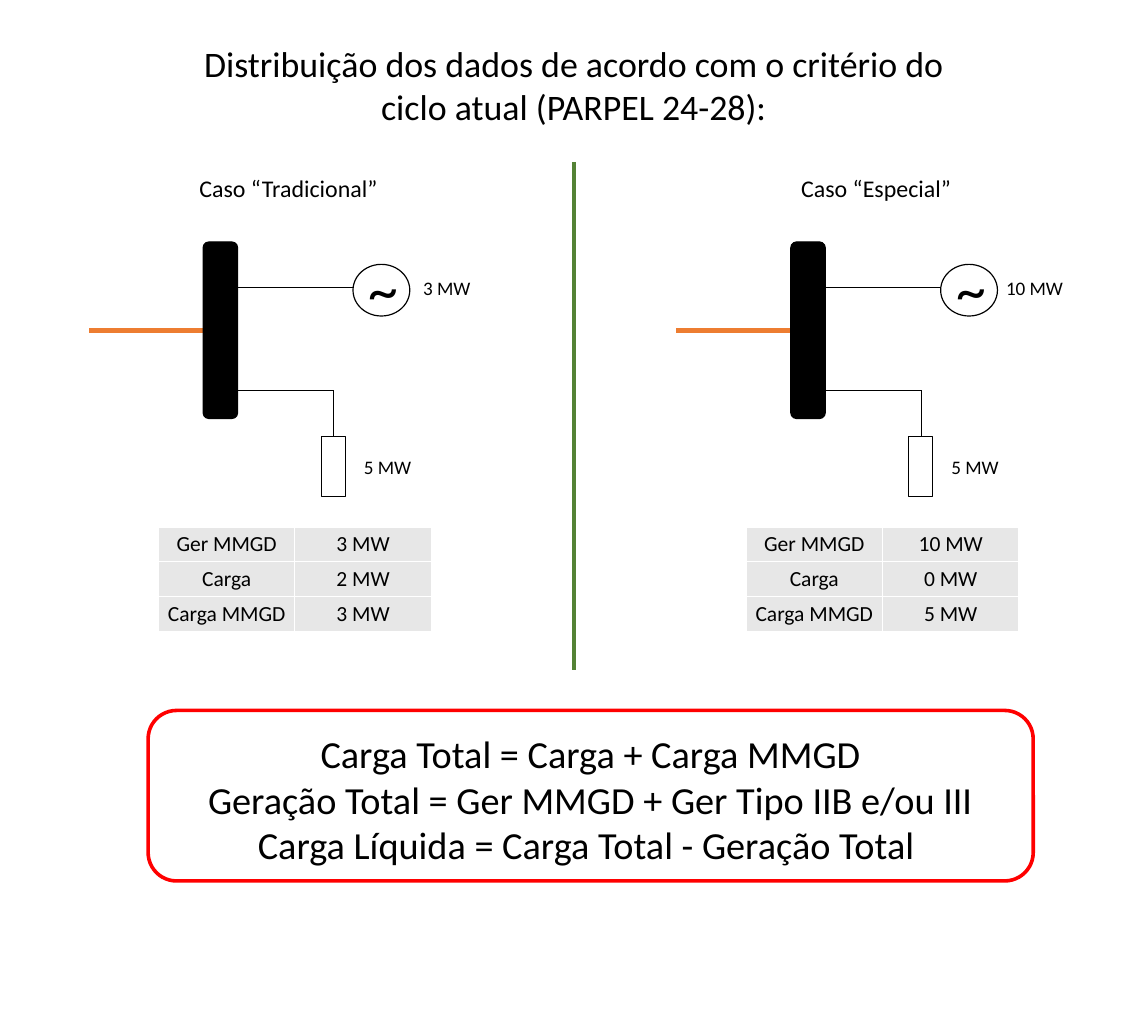
from dataclasses import dataclass

from lxml import etree
from pptx import Presentation
from pptx import util as u
from pptx.dml.color import RGBColor
from pptx.enum import shapes, text
from pptx.oxml.ns import qn


@dataclass(frozen=True)
class Theme:
    font: str = "Calibri"
    ink: str = "000000"
    feeder: str = "ED7D31"
    divider: str = "548235"
    frame: str = "FF0000"
    cell: str = "E7E7E7"
    title: int = 30
    heading: int = 20
    formula: int = 32
    table: int = 18
    label: int = 16
    wave: int = 50


THEME = Theme()
SLIDE_COLUMNS, SLIDE_ROWS = 133.33, 118.1
CASE_STEP = 68.25  # columns from one case to the next


def cells(*counts):
    """Turn counts of grid cells, a tenth of an inch each, into lengths."""
    return [u.Inches(count / 10) for count in counts]


def color(code):
    return RGBColor.from_string(code)


def write(frame, lines, size):
    frame.word_wrap = True
    frame.auto_size = text.MSO_AUTO_SIZE.NONE
    frame.text = "\n".join(lines)
    for paragraph in frame.paragraphs:
        paragraph.alignment = text.PP_ALIGN.CENTER
        paragraph.font.name = THEME.font
        paragraph.font.size = u.Pt(size)
        paragraph.font.color.rgb = color(THEME.ink)


def add_label(slide, box, wording, size, side_inset=1):
    frame = slide.shapes.add_textbox(*cells(*box)).text_frame
    frame.margin_left, frame.margin_right = cells(side_inset, side_inset)
    write(frame, [wording], size)


def add_line(slide, start, end, line_color, width):
    line = slide.shapes.add_connector(
        shapes.MSO_CONNECTOR.STRAIGHT, *cells(*start, *end))
    line.line.color.rgb = color(line_color)
    line.line.width = u.Pt(width)
    etree.SubElement(line._element.spPr, qn("a:effectLst"))


def add_outline(slide, preset, box, line_color=THEME.ink, width=1, fill=None):
    shape = slide.shapes.add_shape(preset, *cells(*box))
    shape.shadow.inherit = False
    shape.line.color.rgb = color(line_color)
    shape.line.width = u.Pt(width)
    if fill:
        shape.fill.solid()
        shape.fill.fore_color.rgb = color(fill)
    else:
        shape.fill.background()
    return shape


def add_power_table(slide, box, rows):
    table = slide.shapes.add_table(len(rows), 2, *cells(*box)).table
    table.first_row = table.horz_banding = False
    for row, values in enumerate(rows):
        for column, value in enumerate(values):
            cell = table.cell(row, column)
            cell.fill.solid()
            cell.fill.fore_color.rgb = color(THEME.cell)
            cell.vertical_anchor = text.MSO_ANCHOR.MIDDLE
            write(cell.text_frame, [value], THEME.table)


def add_title(slide, wording):
    title = slide.shapes.title
    title.left, title.top, title.width, title.height = cells(22, 4.3, 89.3, 11.1)
    write(title.text_frame, [wording], THEME.title)
    title.text_frame.vertical_anchor = text.MSO_ANCHOR.TOP


def add_case(slide, left, name, generation, load, mmgd_load):
    preset = shapes.MSO_SHAPE
    add_label(slide, (left + 0.5, 19.7, 66, 4.4), f"Caso “{name}”", THEME.heading)

    # Branches and feeder
    load_x = left + 38.7
    add_line(slide, (left + 27.7, 33.4), (left + 41, 33.4), THEME.ink, 0.5)
    add_line(slide, (left + 25.5, 45.3), (load_x, 45.3), THEME.ink, 0.5)
    add_line(slide, (load_x, 45.3), (load_x, 50.7), THEME.ink, 0.5)
    add_line(slide, (left + 24.8, 38.4), (left + 10.3, 38.4), THEME.feeder, 4)

    # Busbar
    add_outline(slide, preset.ROUNDED_RECTANGLE, (left + 23.6, 28.1, 4, 20.5),
                fill=THEME.ink)

    # Load
    add_outline(slide, preset.RECTANGLE, (load_x - 1.4, 50.7, 2.8, 7))
    add_label(slide, (load_x, 52.4, 12.6, 3.7), "5 MW", THEME.label)

    # Generator
    add_outline(slide, preset.OVAL, (left + 41, 30.7, 6.6, 6))
    add_label(slide, (left + 42.1, 28.7, 4.9, 9.4), "~", THEME.wave, side_inset=0)
    add_label(slide, (left + 45.6, 31.6, 12.6, 3.7), generation, THEME.label)

    # Values
    add_power_table(slide, (left + 18.4, 61.2, 31.7, 12), [
        ("Ger MMGD", generation),
        ("Carga", load),
        ("Carga MMGD", mmgd_load),
    ])


def add_formulas(slide, lines):
    frame = add_outline(slide, shapes.MSO_SHAPE.ROUNDED_RECTANGLE,
                        (17.2, 82.5, 102.8, 19.8), THEME.frame, 3)
    write(frame.text_frame, lines, THEME.formula)
    frame.text_frame.margin_top = u.Inches(0.12)
    frame.text_frame.vertical_anchor = text.MSO_ANCHOR.MIDDLE


def main():
    deck = Presentation()
    deck.slide_width, deck.slide_height = cells(SLIDE_COLUMNS, SLIDE_ROWS)
    slide = deck.slides.add_slide(deck.slide_layouts.get_by_name("Title Only"))

    add_title(slide, "Distribuição dos dados de acordo com o critério do "
                     "ciclo atual (PARPEL 24-28):")
    cases = [
        ("Tradicional", "3 MW", "2 MW", "3 MW"),
        ("Especial", "10 MW", "0 MW", "5 MW"),
    ]
    for index, case in enumerate(cases):
        add_case(slide, index * CASE_STEP, *case)

    middle = SLIDE_COLUMNS / 2
    add_line(slide, (middle, 18.8), (middle, 77.8), THEME.divider, 4)
    add_formulas(slide, [
        "Carga Total = Carga + Carga MMGD",
        "Geração Total = Ger MMGD + Ger Tipo IIB e/ou III",
        "Carga Líquida = Carga Total - Geração Total ",
    ])
    deck.save("out.pptx")


main()
